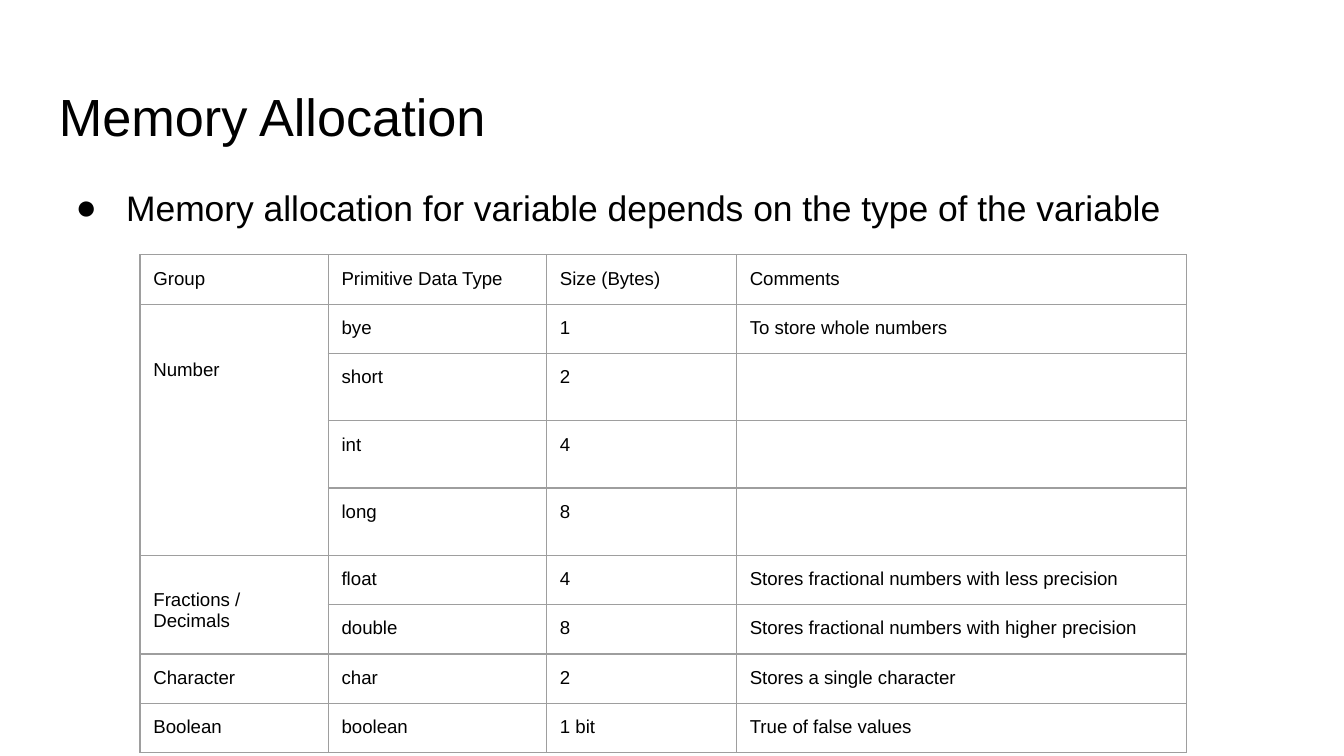
import pptx
import pptx.dml.color
import pptx.enum.text
import pptx.oxml
import pptx.oxml.ns
import pptx.util

Pt = pptx.util.Pt
BLACK = pptx.dml.color.RGBColor(0x00, 0x00, 0x00)
GRAY = pptx.dml.color.RGBColor(0x9E, 0x9E, 0x9E)

INSET = 7.2
LINE = 11.4
SHORT_ROW, TALL_ROW = 25.65, 34.45
COLUMNS = [100.8, 117.0, 101.7, 241.2]
ROWS = [
    ["Group", "Primitive Data Type", "Size (Bytes)", "Comments"],
    ["Number", "bye", "1", "To store whole numbers"],
    ["", "short", "2", ""],
    ["", "int", "4", ""],
    ["", "long", "8", ""],
    ["Fractions / Decimals", "float", "4", "Stores fractional numbers with less precision"],
    ["", "double", "8", "Stores fractional numbers with higher precision"],
    ["Character", "char", "2", "Stores a single character"],
    ["Boolean", "boolean", "1 bit", "True of false values"],
]
GROUPS = [(1, 4, 2), (5, 6, 1)]


class Deck:
    font = {"name": "Arial", "bold": False}
    margins = {"margin_left": Pt(INSET), "margin_right": Pt(INSET),
               "margin_top": Pt(INSET), "margin_bottom": Pt(INSET)}

    def __init__(self, prs):
        self.s = prs.slides.add_slide(prs.slide_layouts[6])

    def apply(self, target, values):
        for name, value in values.items():
            setattr(target, name, value)

    def add_run(self, tf, text, size):
        p = tf.paragraphs[0]
        r = p.add_run()
        r.text = text
        self.apply(r.font, {**self.font, "size": Pt(size)})
        r.font.color.rgb = BLACK
        return p

    def text(self, box, text, size, top):
        tf = self.s.shapes.add_textbox(*map(Pt, box)).text_frame
        self.apply(tf, {**self.margins, "margin_top": Pt(top), "word_wrap": True,
                        "vertical_anchor": pptx.enum.text.MSO_ANCHOR.TOP})
        return self.add_run(tf, text, size)

    def bullet(self, box, text, size, top):
        p = self.text(box, text, size, top)
        pPr = p._p.get_or_add_pPr()
        pPr.set("marL", str(Pt(36)))
        pPr.set("indent", str(Pt(-27)))
        ns = pptx.oxml.ns.nsdecls("a")
        for xml in (f'<a:buClr {ns}><a:srgbClr val="{BLACK}"/></a:buClr>',
                    f'<a:buFont {ns} typeface="Arial"/>',
                    f'<a:buChar {ns} char="●"/>'):
            pPr.append(pptx.oxml.parse_xml(xml))

    def border(self, cell):
        tcPr = cell._tc.get_or_add_tcPr()
        for side in "LRTB":
            tcPr.append(pptx.oxml.parse_xml(
                f'<a:ln{side} {pptx.oxml.ns.nsdecls("a")} w="{Pt(0.75)}">'
                f'<a:solidFill><a:srgbClr val="{GRAY}"/></a:solidFill></a:ln{side}>'))

    def table(self, left, top, columns, rows, groups, size):
        heights = [SHORT_ROW if row[-1] else TALL_ROW for row in rows]
        box = map(Pt, (left, top, sum(columns), sum(heights)))
        table = self.s.shapes.add_table(len(rows), len(columns), *box).table
        self.apply(table, {"first_row": False, "horz_banding": False})
        for column, width in zip(table.columns, columns):
            column.width = Pt(width)
        for i, (row, height) in enumerate(zip(rows, heights)):
            table.rows[i].height = Pt(height)
            for j, text in enumerate(row):
                cell = table.cell(i, j)
                self.apply(cell, self.margins)
                self.border(cell)
                cell.fill.background()
                if text:
                    self.add_run(cell.text_frame, text, size)
        for first, last, lines in groups:
            cell = table.cell(first, 0)
            cell.merge(table.cell(last, 0))
            cell.margin_top = Pt(INSET + lines * LINE)


def main():
    prs = pptx.Presentation()
    prs.slide_width, prs.slide_height = Pt(720), Pt(405)
    deck = Deck(prs)
    deck.text((24.5, 35.3, 671, 45.4), "Memory Allocation", 28, 10)
    deck.bullet((24.5, 90.7, 671, 269.3),
                "Memory allocation for variable depends on the type of the variable", 19, 9)
    deck.table(75, 136.5, COLUMNS, ROWS, GROUPS, 10)
    prs.save("out.pptx")


if __name__ == "__main__":
    main()
